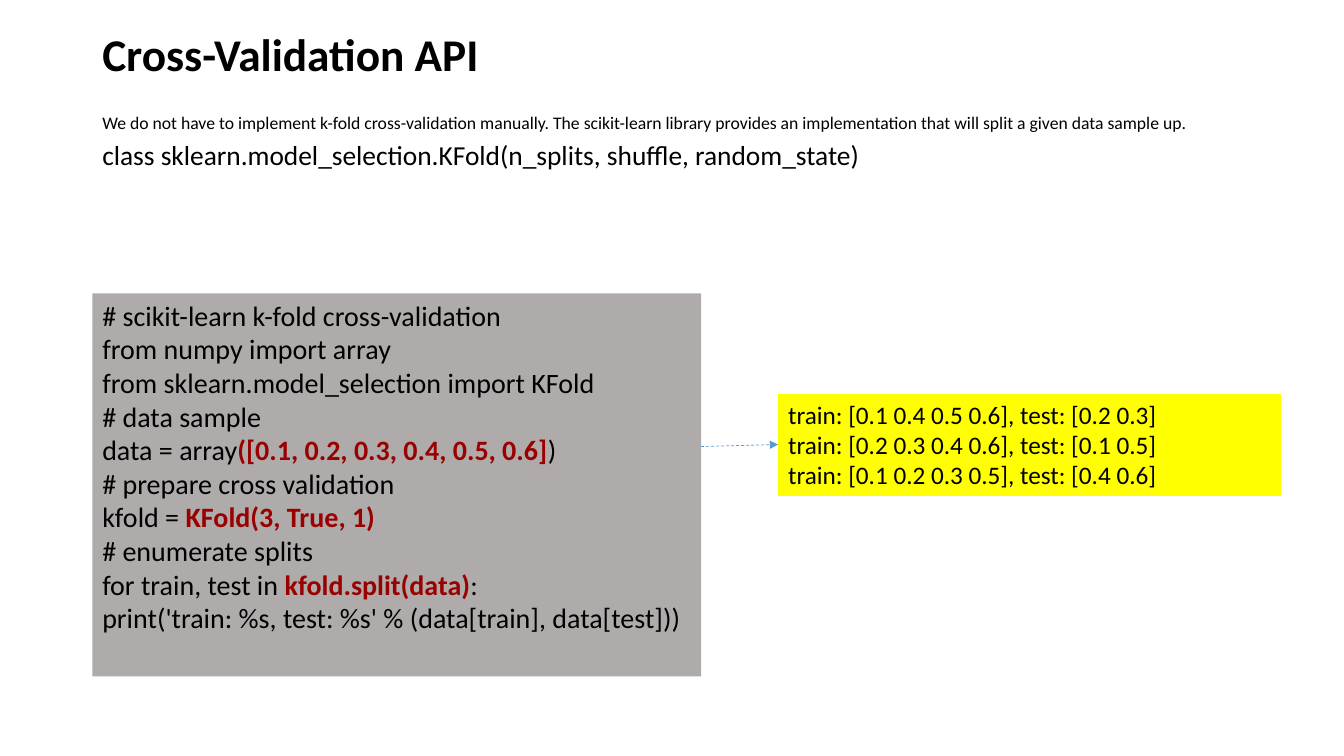
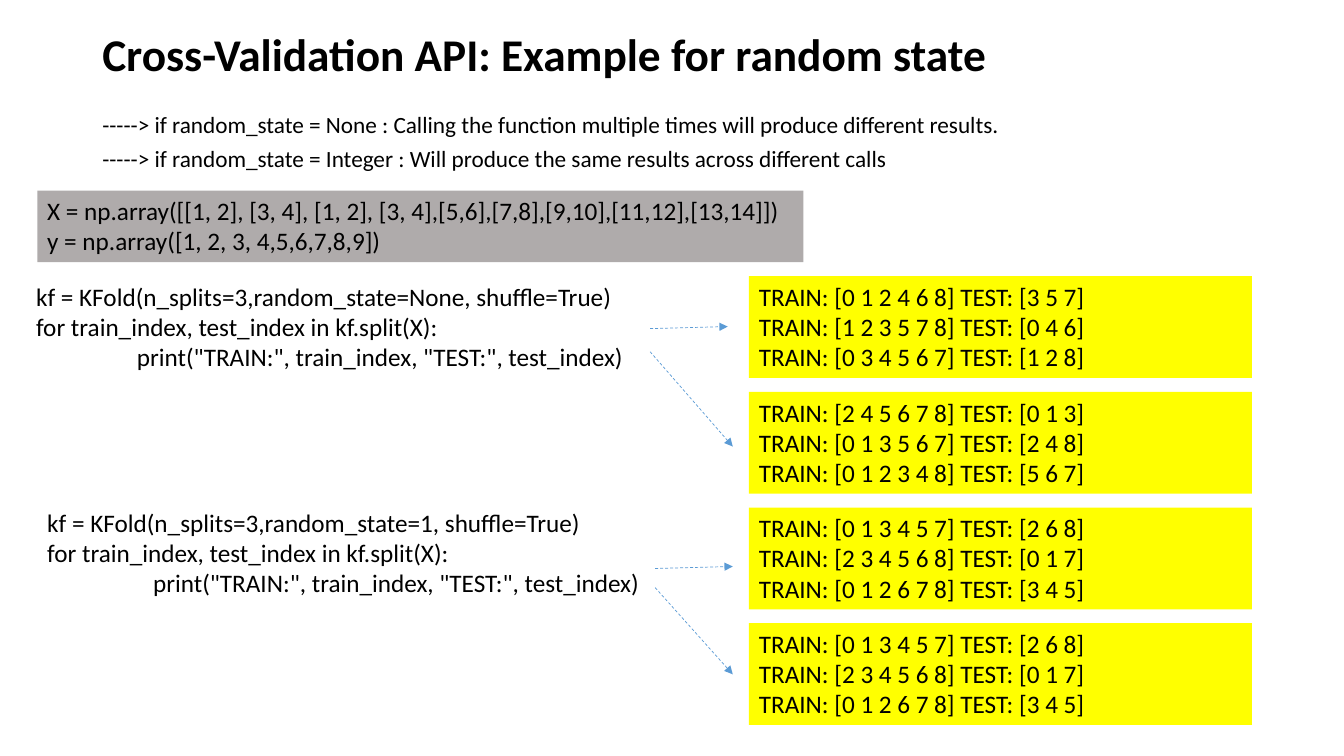
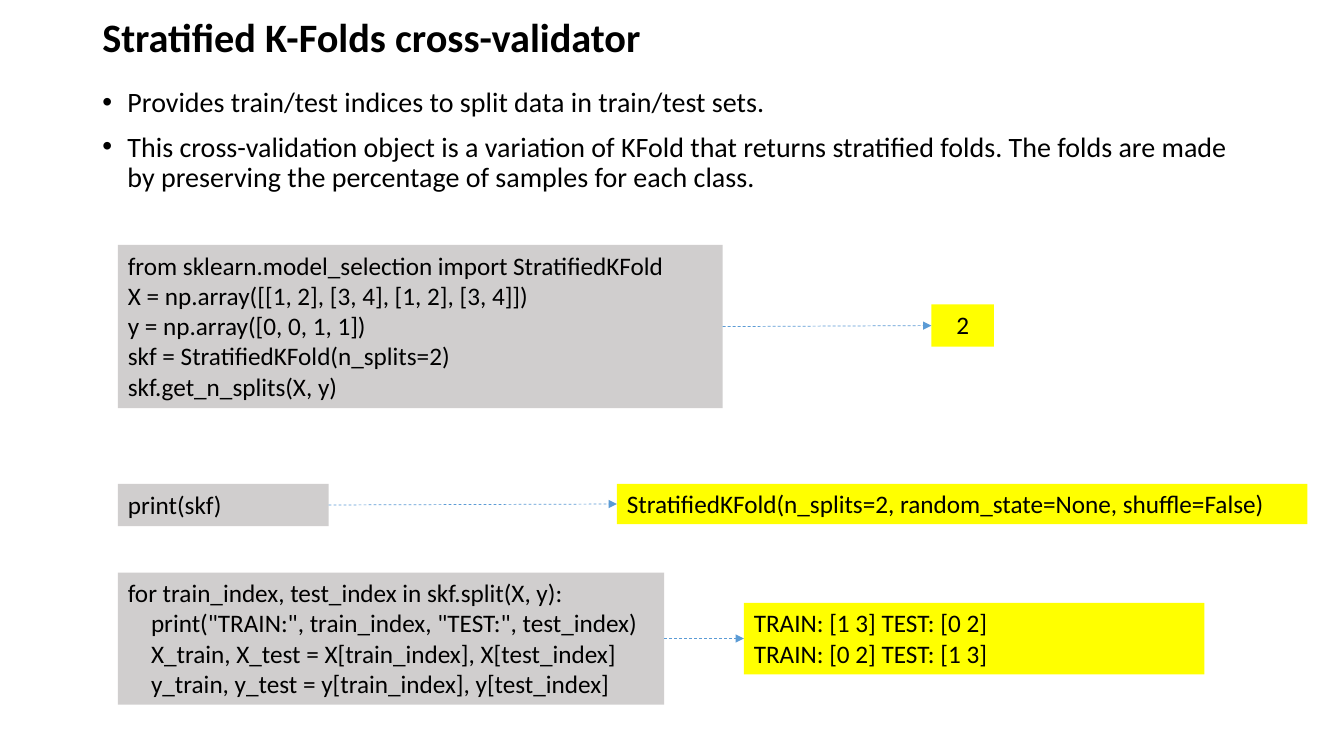
"""Build three slides on the cross-validation API."""
from dataclasses import dataclass

from lxml import etree
from pptx import Presentation
from pptx.dml.color import RGBColor
from pptx.enum.dml import MSO_LINE
from pptx.enum.shapes import MSO_CONNECTOR, MSO_SHAPE
from pptx.enum.text import MSO_ANCHOR, PP_ALIGN
from pptx.oxml.ns import qn
from pptx.util import Inches, Pt

RECTANGLE = MSO_SHAPE.RECTANGLE
STRAIGHT = MSO_CONNECTOR.STRAIGHT
DASH = MSO_LINE.DASH
TOP, MIDDLE = MSO_ANCHOR.TOP, MSO_ANCHOR.MIDDLE
LEFT, CENTER = PP_ALIGN.LEFT, PP_ALIGN.CENTER

COLUMNS, ROWS = 40, 30
SLIDE_WIDTH, SLIDE_HEIGHT = Inches(40 / 3), Inches(7.5)
MARGIN, CONTENT_WIDTH = 2.75, 34.5
RESULT_WIDTH, RESULT_HEIGHT = 14.97, 4.04
EMPHASIS_MARK = "|"
INDENT_MARK = "\t"


@dataclass(frozen=True)
class Theme:
    """Colours, font and type sizes of the deck."""

    font: str = "Calibri"
    ink: str = "000000"
    emphasis: str = "990000"
    code: str = "AFABAB"
    code_light: str = "D0CECE"
    result: str = "FFFF00"
    arrow: str = "5B9BD5"
    title: float = 32.4
    title_small: float = 28.8
    body: float = 20
    signature: float = 19.6
    note: float = 16.6
    intro: float = 12.6
    text: float = 18
    arrow_width: float = 0.5
    paragraph_gap: float = 10


THEME = Theme()


def across(columns):
    """Turn grid columns into a length."""
    return round(SLIDE_WIDTH * columns / COLUMNS)


def down(rows):
    """Turn grid rows into a length."""
    return round(SLIDE_HEIGHT * rows / ROWS)


def place(left, top, width, height):
    """Turn a grid area into left, top, width and height."""
    return across(left), down(top), across(width), down(height)


def style_span(span, size, bold=False, color=THEME.ink):
    """Give a run its font."""
    span.font.name = THEME.font
    span.font.size = Pt(size)
    span.font.bold = bold
    span.font.color.rgb = RGBColor.from_string(color)


def write_line(para, line, size, indent=0, bold=False):
    """Write one line, with marked parts emphasised and a marked indent."""
    if line.startswith(INDENT_MARK):
        para._p.get_or_add_pPr().set("marL", str(across(indent)))
    for position, part in enumerate(line.lstrip(INDENT_MARK).split(EMPHASIS_MARK)):
        if part:
            strong = position % 2 == 1
            span = para.add_run()
            span.text = part
            style_span(span, size, bold or strong, THEME.emphasis if strong else THEME.ink)


def write_lines(box, lines, size, indent=0, bold=False):
    """Write lines as paragraphs and return them."""
    frame = box.text_frame
    frame.word_wrap = True
    frame.vertical_anchor = TOP
    paras = [frame.paragraphs[0]] + [frame.add_paragraph() for _ in lines[1:]]
    for para, line in zip(paras, lines):
        para.alignment = LEFT
        write_line(para, line, size, indent, bold)
    return paras


def add_text(page, area, lines, size=THEME.text, indent=0, bold=False):
    """Add plain text on the page."""
    box = page.shapes.add_textbox(*place(*area))
    write_lines(box, lines, size, indent, bold)
    return box


def add_panel(page, area, fill, lines, size=THEME.text, indent=0):
    """Add a filled rectangle that holds text."""
    box = page.shapes.add_shape(RECTANGLE, *place(*area))
    box.shadow.inherit = False
    box.fill.solid()
    box.fill.fore_color.rgb = RGBColor.from_string(fill)
    box.line.fill.background()
    write_lines(box, lines, size, indent)
    return box


def add_title(page, text, top=0.88, height=2.72, size=THEME.title):
    """Add the slide title."""
    box = add_text(page, (MARGIN, top, CONTENT_WIDTH, height), [text], size, bold=True)
    box.text_frame.vertical_anchor = MIDDLE
    box.text_frame.paragraphs[0].line_spacing = 0.9


def add_body(page, lines, sizes, top=4.48, height=2.6, spacing=0.7):
    """Add the text under the title and return its paragraphs."""
    box = add_text(page, (MARGIN, top, CONTENT_WIDTH, height), lines)
    paras = box.text_frame.paragraphs
    for para, size in zip(paras, sizes):
        para.line_spacing = spacing
        para.space_before = Pt(THEME.paragraph_gap)
        for span in para.runs:
            span.font.size = Pt(size)
    return paras


def add_bullet(para):
    """Put a hanging bullet before a paragraph."""
    properties = para._p.get_or_add_pPr()
    properties.set("marL", str(Inches(0.25)))
    properties.set("indent", str(-Inches(0.25)))
    etree.SubElement(properties, qn("a:buFont")).set("typeface", "Arial")
    etree.SubElement(properties, qn("a:buChar")).set("char", "•")


def draw_arrow(page, start, end):
    """Draw a dashed arrow between two points."""
    arrow = page.shapes.add_connector(STRAIGHT, *start, *end)
    arrow.line.color.rgb = RGBColor.from_string(THEME.arrow)
    arrow.line.width = Pt(THEME.arrow_width)
    arrow.line.dash_style = DASH
    etree.SubElement(arrow.line._get_or_add_ln(), qn("a:tailEnd")).set("type", "triangle")
    etree.SubElement(arrow._element.spPr, qn("a:effectLst"))


def add_arrow(page, start, end):
    """Draw an arrow between two grid points."""
    draw_arrow(page, *[(across(column), down(row)) for column, row in (start, end)])


def join(page, source, target):
    """Draw an arrow from the right side of one box to the left side of another."""
    start = source.left + source.width, source.top + source.height // 2
    end = target.left, target.top + target.height // 2
    draw_arrow(page, start, end)


def build_api(page):
    """Show the KFold class with its result."""
    add_title(page, "Cross-Validation API")
    add_body(page, [
        "We do not have to implement k-fold cross-validation manually. The scikit-learn "
        "library provides an implementation that will split a given data sample up.",
        "class sklearn.model_selection.KFold(n_splits, shuffle, random_state)",
    ], [THEME.intro, THEME.signature])
    add_panel(page, (MARGIN, 11.64, 18.12, 15.2), THEME.code, [
        "# scikit-learn k-fold cross-validation",
        "from numpy import array",
        "from sklearn.model_selection import KFold",
        "# data sample",
        "data = array|([0.1, 0.2, 0.3, 0.4, 0.5, 0.6]|)",
        "# prepare cross validation",
        "kfold = |KFold(3, True, 1)",
        "# enumerate splits",
        "for train, test in |kfold.split(data)|:",
        "print('train: %s, test: %s' % (data[train], data[test]))",
    ], THEME.body)
    add_panel(page, (23.16, 15.64, RESULT_WIDTH, RESULT_HEIGHT), THEME.result, [
        "train: [0.1 0.4 0.5 0.6], test: [0.2 0.3]",
        "train: [0.2 0.3 0.4 0.6], test: [0.1 0.5]",
        "train: [0.1 0.2 0.3 0.5], test: [0.4 0.6]",
    ])
    add_arrow(page, (20.87, 17.72), (23.16, 17.64))


def build_random_state(page):
    """Compare the results of two random states."""
    add_title(page, "Cross-Validation API: Example for random state")
    add_body(page, [
        "-----> if random_state = None : Calling the function multiple times "
        "will produce different results.",
        "-----> if random_state = Integer : Will produce the same results across different calls",
    ], [THEME.note] * 2)
    add_panel(page, (1.11, 7.56, 22.8, 2.84), THEME.code, [
        "X = np.array([[1, 2], [3, 4], [1, 2], [3, 4],[5,6],[7,8],[9,10],[11,12],[13,14]])",
        "y = np.array([1, 2, 3, 4,5,6,7,8,9])",
    ])
    calls = [("None", (0.78, 10.96, 18.27, 4.04), 3),
             ("1", (1.11, 19.92, 18.45, 4.04), 3.15)]
    for state, area, indent in calls:
        add_text(page, area, [
            f"kf = KFold(n_splits=3,random_state={state}, shuffle=True)",
            "for train_index, test_index in kf.split(X):",
            '\tprint("TRAIN:", train_index, "TEST:", test_index)',
        ], indent=indent)
    fixed_folds = [("0 1 3 4 5 7", "2 6 8"), ("2 3 4 5 6 8", "0 1 7"), ("0 1 2 6 7 8", "3 4 5")]
    results = [
        [("0 1 2 4 6 8", "3 5 7"), ("1 2 3 5 7 8", "0 4 6"), ("0 3 4 5 6 7", "1 2 8")],
        [("2 4 5 6 7 8", "0 1 3"), ("0 1 3 5 6 7", "2 4 8"), ("0 1 2 3 4 8", "5 6 7")],
        fixed_folds,
        fixed_folds,
    ]
    for position, folds in enumerate(results):
        area = (22.29, 10.96 + 4.59 * position, RESULT_WIDTH, RESULT_HEIGHT)
        add_panel(page, area, THEME.result,
                  [f"TRAIN: [{train}] TEST: [{test}]" for train, test in folds])
    for start, end in [((19.35, 13.04), (21.66, 12.96)), ((19.35, 13.96), (21.81, 17.72)),
                       ((19.5, 22.56), (21.81, 22.48)), ((19.5, 23.32), (21.81, 26.76))]:
        add_arrow(page, start, end)


def build_stratified(page):
    """Show the stratified validator with its results."""
    add_title(page, "Stratified K-Folds cross-validator", 0.84, 1.48, THEME.title_small)
    paras = add_body(page, [
        "Provides train/test indices to split data in train/test sets.",
        "This cross-validation object is a variation of KFold that returns stratified folds. "
        "The folds are made by preserving the percentage of samples for each class.",
    ], [THEME.body] * 2, top=3.32, height=4.56, spacing=0.9)
    for para in paras:
        add_bullet(para)
    left = 3.51
    setup = add_panel(page, (left, 9.72, 18, 6.48), THEME.code_light, [
        "from sklearn.model_selection import StratifiedKFold",
        "X = np.array([[1, 2], [3, 4], [1, 2], [3, 4]])",
        "y = np.array([0, 0, 1, 1])",
        "skf = StratifiedKFold(n_splits=2)",
        "skf.get_n_splits(X, y)",
    ])
    count = add_panel(page, (27.72, 12.08, 1.86, 1.68), THEME.result, ["2"])
    count.text_frame.paragraphs[0].alignment = CENTER
    show = add_panel(page, (left, 19.2, 6.27, 1.68), THEME.code_light, ["print(skf)"])
    summary = add_panel(page, (18.36, 19.2, 20.55, 1.6), THEME.result, [
        "StratifiedKFold(n_splits=2, random_state=None, shuffle=False)",
    ])
    loop = add_panel(page, (left, 22.72, 16.26, 5.24), THEME.code_light, [
        "for train_index, test_index in skf.split(X, y):",
        '\tprint("TRAIN:", train_index, "TEST:", test_index)',
        "\tX_train, X_test = X[train_index], X[test_index]",
        "\ty_train, y_test = y[train_index], y[test_index]",
    ], indent=0.69)
    folds = add_panel(page, (22.14, 23.92, 13.71, 2.84), THEME.result, [
        "TRAIN: [1 3] TEST: [0 2]",
        "TRAIN: [0 2] TEST: [1 3]",
    ])
    for source, target in [(setup, count), (show, summary), (loop, folds)]:
        join(page, source, target)


def main():
    """Build and save the deck."""
    deck = Presentation()
    deck.slide_width, deck.slide_height = SLIDE_WIDTH, SLIDE_HEIGHT
    blank = deck.slide_layouts[6]
    for build in (build_api, build_random_state, build_stratified):
        build(deck.slides.add_slide(blank))
    deck.save("out.pptx")


main()
